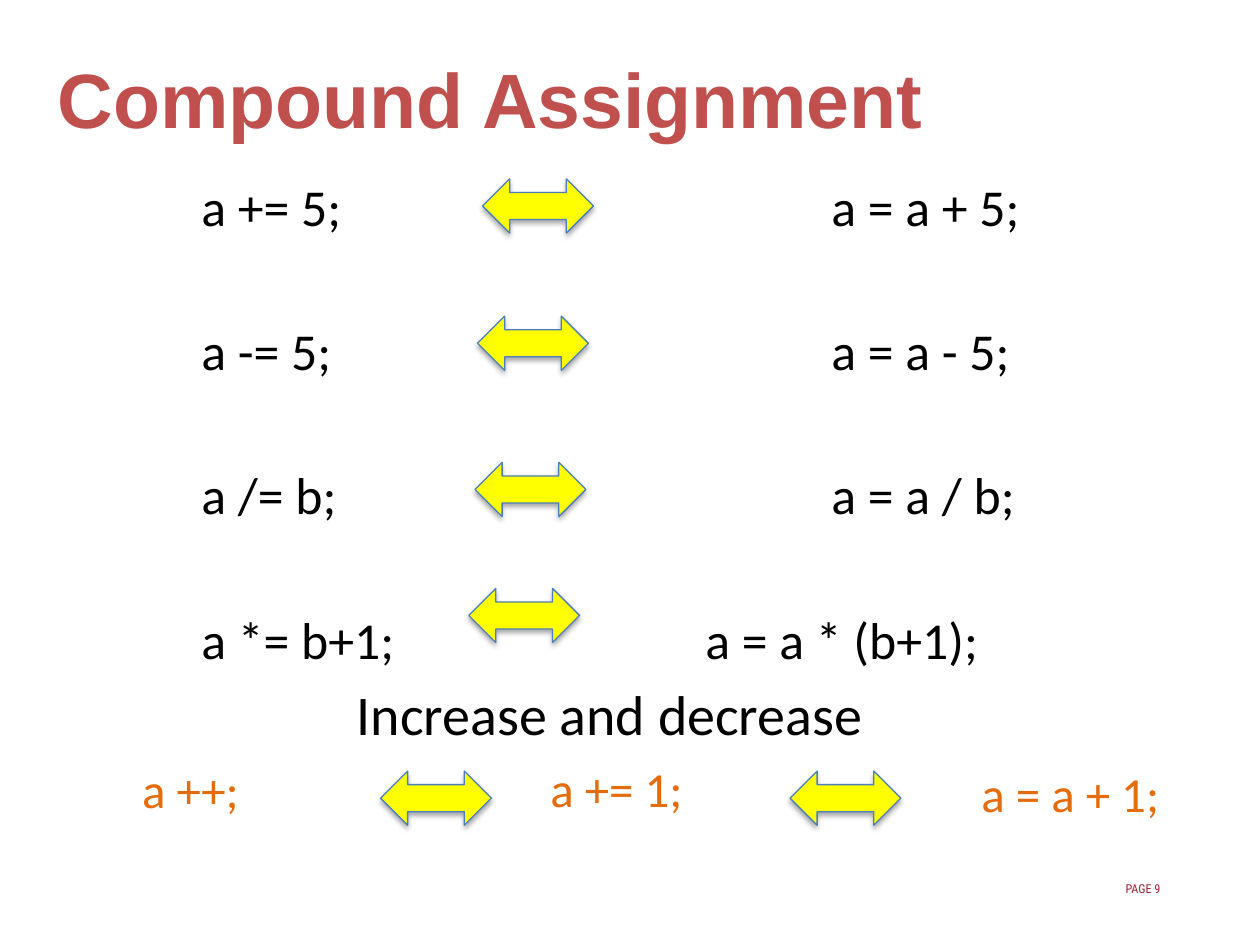
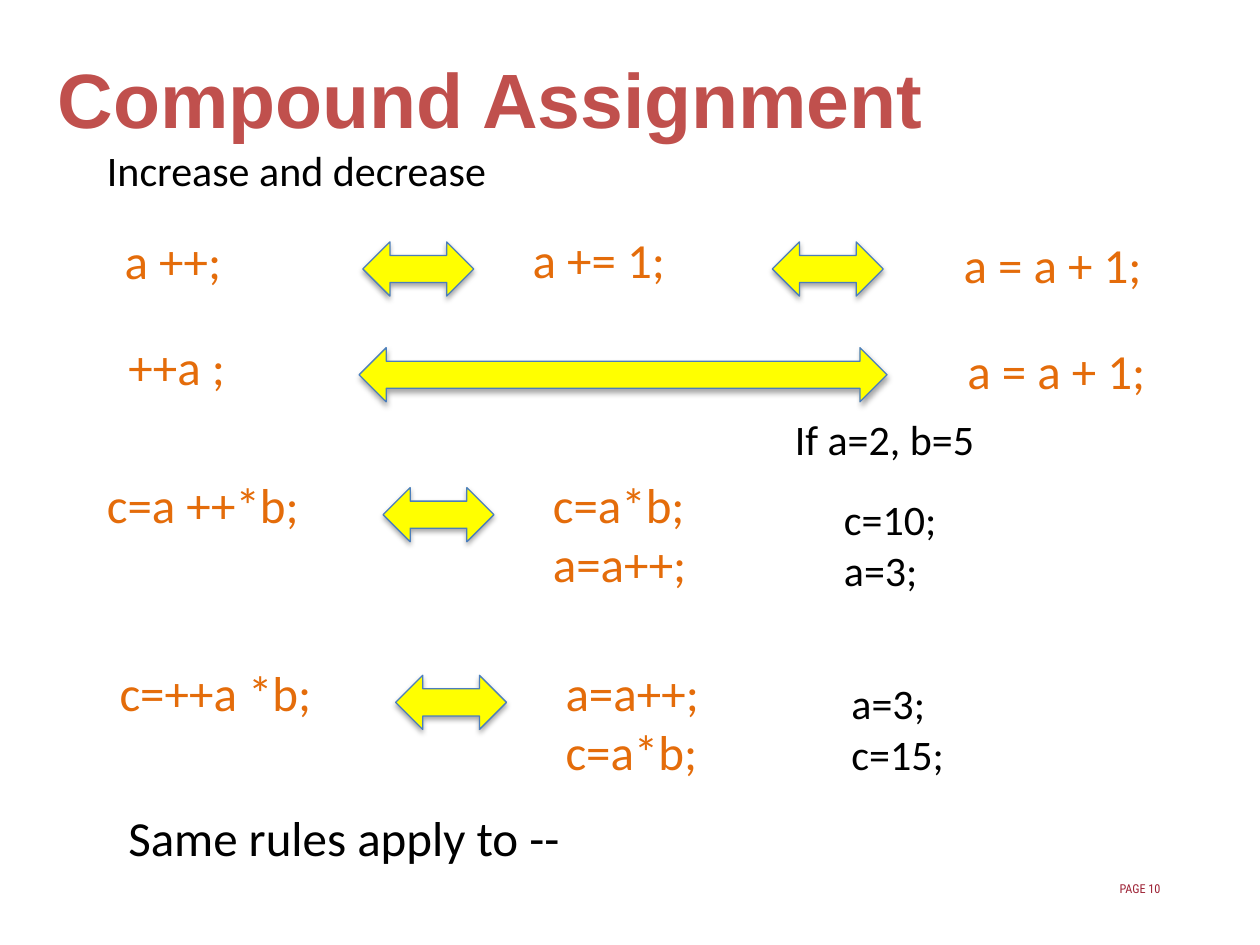
import dataclasses

import lxml.etree
import pptx
import pptx.dml.color
import pptx.enum.shapes
import pptx.enum.text
import pptx.oxml.ns
import pptx.util

Inches = pptx.util.Inches
Pt = pptx.util.Pt
RGB = pptx.dml.color.RGBColor.from_string
ALIGN = pptx.enum.text.PP_ALIGN
ANCHOR = pptx.enum.text.MSO_ANCHOR
FIT = pptx.enum.text.MSO_AUTO_SIZE
qn = pptx.oxml.ns.qn


@dataclasses.dataclass(frozen=True)
class Theme:
    red: str = "C0504D"
    crimson: str = "9D2235"
    orange: str = "E46C0A"
    black: str = "000000"
    yellow: str = "FFFF00"
    blue: str = "4B7EBC"
    body_font: str = "Calibri"
    title_font: str = "Arial"
    page_font: str = "Roboto Condensed"
    title: float = 44
    heading: float = 32
    table: float = 29.6
    code: float = 28
    note: float = 24
    page: float = 7


T = Theme()


def style_font(p, size, color, name=T.body_font, bold=False):
    for r in p.runs:
        for key, value in dict(name=name, size=Pt(size), bold=bold).items():
            setattr(r.font, key, value)
        r.font.color.rgb = RGB(color)


def add_text(s, box, text, size, color=T.black, name=T.body_font, bold=False,
             align=ALIGN.LEFT, **frame):
    """Add a text box, one paragraph a line; frame holds text frame settings."""
    tf = s.shapes.add_textbox(*map(Inches, box)).text_frame
    for key, value in {"word_wrap": True, **frame}.items():
        setattr(tf, key, value)
    tf.text = text
    for p in tf.paragraphs:
        p.alignment = align
        style_font(p, size, color, name, bold)
    return tf


def add_label(s, x, y, width, text, size=T.code, color=T.orange, wrap=False):
    """Add a text box as high as its lines."""
    height = 0.1 + (text.count("\n") + 1) * size / 60
    add_text(s, (x, y, width, height), text, size, color,
             word_wrap=wrap, auto_size=FIT.SHAPE_TO_FIT_TEXT)


def add_arrow(s, x, y, width=0.88):
    """Add a two-way arrow with a soft shadow below it."""
    sp = s.shapes.add_shape(pptx.enum.shapes.MSO_SHAPE.LEFT_RIGHT_ARROW,
                            *map(Inches, (x, y, width, 0.43)))
    sp.fill.solid()
    sp.fill.fore_color.rgb = RGB(T.yellow)
    sp.line.color.rgb = RGB(T.blue)
    sp.line.width = Pt(0.75)
    sp.shadow.inherit = False
    effects = sp._element.spPr.find(qn("a:effectLst"))
    shadow = lxml.etree.SubElement(
        effects, qn("a:outerShdw"), blurRad=str(Pt(3.1)), dist=str(Pt(1.8)),
        dir="5400000", rotWithShape="0")
    black = lxml.etree.SubElement(shadow, qn("a:srgbClr"), val=T.black)
    lxml.etree.SubElement(black, qn("a:alpha"), val="35000")


def add_slide(prs, page):
    s = prs.slides.add_slide(prs.slide_layouts[6])
    add_text(s, (0, 0, 7.79, 1.55), "Compound Assignment", T.title, T.red,
             T.title_font, True, ALIGN.CENTER, vertical_anchor=ANCHOR.MIDDLE)
    add_text(s, (7.03, 6.99, 2.18, 0.12), f"PAGE {page}", T.page, T.crimson,
             T.page_font, align=ALIGN.RIGHT, margin_left=0, margin_right=0,
             margin_top=0, margin_bottom=0)
    return s


def add_tab_stops(p, stops):
    tabs = lxml.etree.SubElement(p._p.get_or_add_pPr(), qn("a:tabLst"))
    for stop in stops:
        lxml.etree.SubElement(tabs, qn("a:tab"), pos=str(Inches(stop)), algn="l")


def add_equivalents(s, rows):
    """List short and long forms, the long form at its own tab stop."""
    text = "\n".join(f"\t{short}\t{full}" for short, full, _ in rows)
    tf = add_text(s, (0.5, 1.34, 9, 4.05), text, T.table)
    for i, (p, row) in enumerate(zip(tf.paragraphs, rows)):
        add_tab_stops(p, (1, row[2]))
        if i:
            p.space_before = Pt(46.8)


def add_increment(s, x, y):
    """Show the three ways to add one, joined by arrows."""
    add_label(s, x, y + 0.01, 0.98, "a ++;")
    add_arrow(s, x + 1.99, y + 0.15)
    add_label(s, x + 3.24, y, 1.26, "a += 1;")
    add_arrow(s, x + 5.24, y + 0.15)
    add_label(s, x + 6.66, y + 0.04, 1.63, "a = a + 1;")


def add_expansion(s, x, y, expression, steps):
    add_label(s, x, y, 2.19, expression, wrap=True)
    add_arrow(s, x + 2.29, y + 0.15)
    add_label(s, x + 3.54, y, 1.27, steps)


def build_operators(prs):
    s = add_slide(prs, 9)
    add_equivalents(s, [("a += 5;", "a = a + 5;", 6),
                        ("a -= 5;", "a = a - 5;", 6),
                        ("a /= b;", "a = a / b;", 6),
                        ("a *= b+1;", "a = a * (b+1);", 5)])
    for x, y in [(3.83, 1.42), (3.79, 2.51), (3.77, 3.67), (3.72, 4.67)]:
        add_arrow(s, x, y)
    add_text(s, (0.34, 5.31, 9, 0.7), "Increase and decrease", T.heading,
             align=ALIGN.CENTER, vertical_anchor=ANCHOR.MIDDLE)
    add_increment(s, 1.03, 5.97)


def build_increments(prs):
    s = add_slide(prs, 10)
    add_label(s, 0.75, 1.1, 8.02, "Increase and decrease", T.note, T.black, True)
    add_increment(s, 0.89, 1.77)

    add_label(s, 0.92, 2.62, 0.98, "++a ;")
    add_arrow(s, 2.85, 2.76, 4.19)
    add_label(s, 7.58, 2.65, 1.63, "a = a + 1;")

    add_expansion(s, 0.75, 3.72, "c=a ++*b;", "c=a*b;\na=a++;")
    add_expansion(s, 0.85, 5.21, "c=++a *b;", "a=a++;\nc=a*b;")

    for x, y, width, text in [(6.21, 3.23, 1.64, "If a=2, b=5"),
                              (6.6, 3.87, 0.94, "c=10;\na=3;"),
                              (6.66, 5.33, 0.94, "a=3;\nc=15;")]:
        add_label(s, x, y, width, text, T.note, T.black)
    add_label(s, 0.92, 6.36, 3.66, "Same rules apply to --", color=T.black)


def main():
    prs = pptx.Presentation()
    prs.slide_width = Inches(10)
    prs.slide_height = Inches(7.5)
    build_operators(prs)
    build_increments(prs)
    prs.save("out.pptx")


if __name__ == "__main__":
    main()
